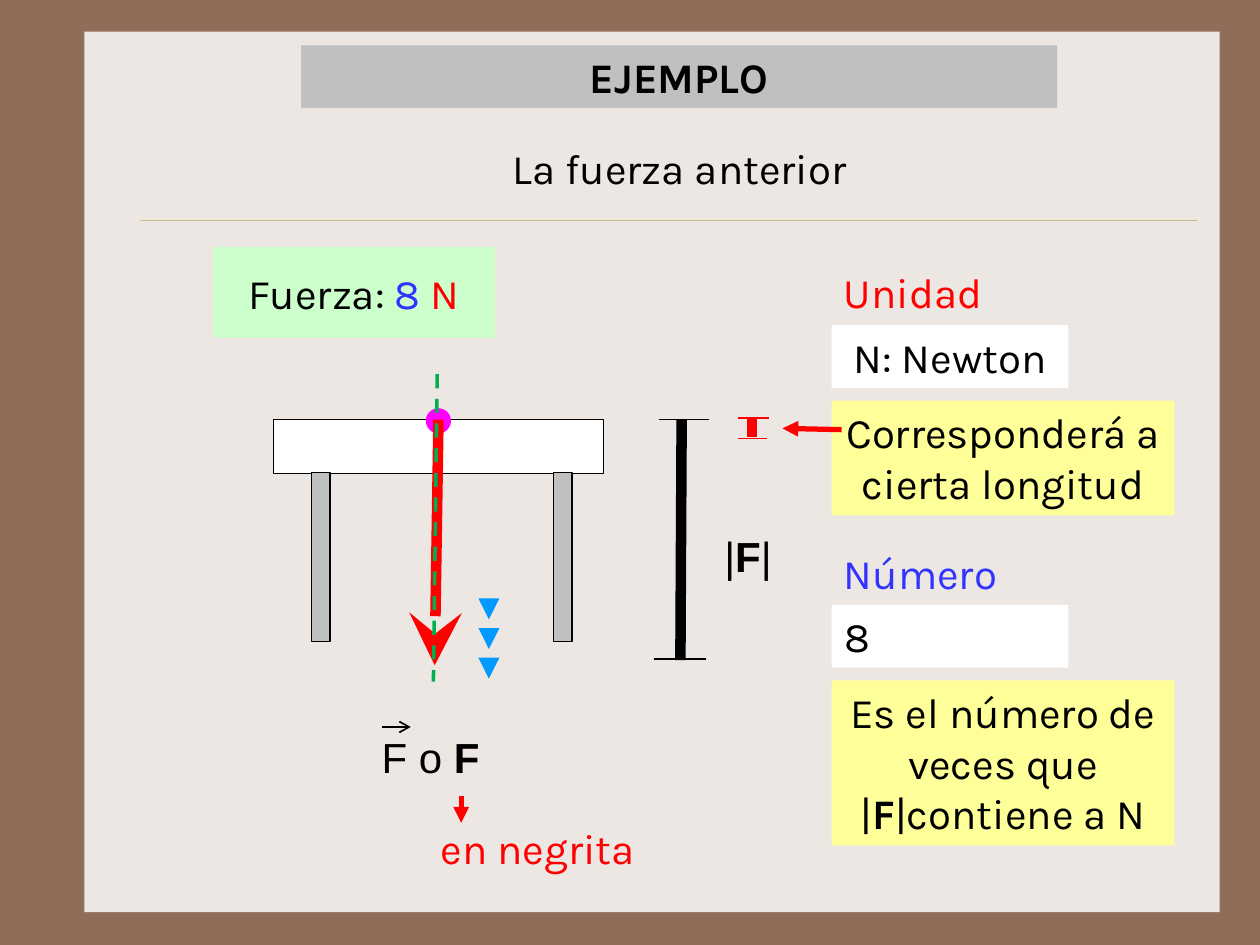
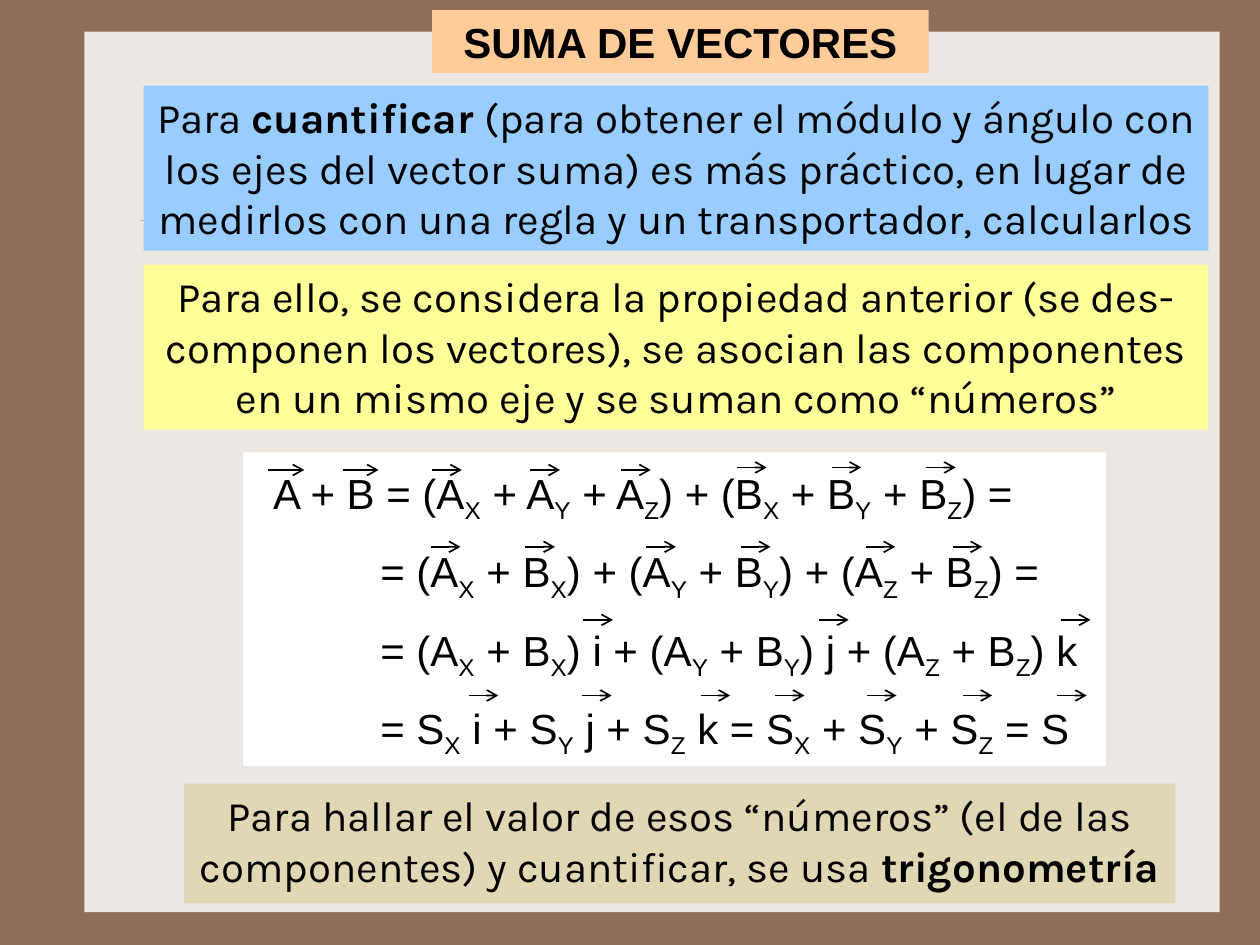
import pptx
import pptx.util
import pptx.dml.color
import pptx.enum.dml
import pptx.enum.shapes
import pptx.enum.text
import pptx.oxml.ns
from lxml import etree

RGB = pptx.dml.color.RGBColor
BROWN, CREAM, RULE = RGB(0x90, 0x6D, 0x58), RGB(0xED, 0xE7, 0xE3), RGB(0xCB, 0xBD, 0x83)
BLACK, WHITE, GREY = RGB(0, 0, 0), RGB(255, 255, 255), RGB(0xC0, 0xC0, 0xC0)
RED, BLUE, GREEN = RGB(255, 0, 0), RGB(0x33, 0x33, 0xFF), RGB(0, 0xB0, 0x50)
YELLOW, MINT, MAGENTA = RGB(255, 255, 0x99), RGB(0xCC, 0xFF, 0xCC), RGB(255, 0, 255)
SKY, PALE_BLUE = RGB(0, 0x99, 0xFF), RGB(0x99, 0xCC, 0xFF)
PEACH, SAND = RGB(255, 0xCC, 0x99), RGB(0xE0, 0xD7, 0xB5)

COLUMNS, ROWS = 100, 75
WIDTH, HEIGHT = pptx.util.Inches(10), pptx.util.Inches(7.5)
BODY, MATH = "Karla", "Arial"
CENTER, LEFT = pptx.enum.text.PP_ALIGN.CENTER, pptx.enum.text.PP_ALIGN.LEFT
RECTANGLE = pptx.enum.shapes.MSO_SHAPE.RECTANGLE
OVAL = pptx.enum.shapes.MSO_SHAPE.OVAL

EXAMPLE_BOXES = [
    ((23.9, 3.6, 60, 5), GREY, ["*EJEMPLO*"], {}),
    ((38.4, 10.8, 31.1, 5), None, ["La fuerza anterior"], {}),
    ((66, 20.7, 18, 5), None, ["Unidad"], {"align": LEFT, "color": RED}),
    ((66, 25.8, 18.8, 5), WHITE, ["N: Newton"], {}),
    ((66, 31.8, 27.2, 9.1), YELLOW, ["Corresponderá a cierta longitud"], {}),
    ((66, 43, 18, 5), None, ["Número"], {"align": LEFT, "color": BLUE}),
    ((66, 48, 18.8, 5), WHITE, ["8"], {"align": LEFT}),
    ((66, 54, 27.2, 13.1), YELLOW,
     ["Es el número de veces que", "|*F*|contiene a N"], {}),
    ((16.9, 19.6, 22.4, 7.2), MINT,
     [[("Fuerza: ", BLACK), ("8 ", BLUE), ("N", RED)]], {"inset": 0.16}),
    ((29.3, 57.6, 14, 5), None, ["F o *F*"], {"align": LEFT, "face": MATH}),
    ((34, 64.8, 20, 5), None, ["en negrita"], {"align": LEFT, "color": RED}),
    ((56.5, 41.6, 9, 5), None, ["|*F*|"], {"align": LEFT, "face": MATH}),
]
TABLE_TOP = (21.7, 33.3, 26.2, 4.3)
LEG_LEFTS, LEG_TOP, LEG_SIZE = (24.7, 43.9), 37.5, (1.5, 13.4)
FORCE_POINT = (33.8, 32.4, 2, 2)
FORCE_ARROW = ((34.7, 33.3, 34.5, 52.8), RED, 6, "stealth")
DIRECTION_LINE = ((34.7, 29.7, 34.4, 54.1), GREEN, 2)
EXAMPLE_LINES = [
    ((59.7, 34.7, 59.7, 33.2), RED, 6, None),
    ((58.6, 33.2, 61, 33.2), RED, 1, None),
    ((58.6, 34.8, 60.9, 34.8), RED, 1, None),
    ((66.8, 34.1, 62.1, 34), RED, 3, "triangle"),
    ((54, 52.4, 54.1, 33.3), BLACK, 6, None),
    ((56.3, 33.3, 52.3, 33.3), BLACK, 1, None),
    ((56, 52.3, 51.9, 52.3), BLACK, 1, None),
    ((30.3, 57.7, 32.6, 57.7), BLACK, 1, "arrow"),
    ((36.6, 63.2, 36.6, 65.3), RED, 3, "triangle"),
]
SENSE_LEFT, SENSE_TOP, SENSE_STEP, SENSE_LENGTH, SENSE_COUNT = 38.8, 47.6, 2.36, 1.55, 3

SUM_BOXES = [
    ((34.3, 0.8, 39.4, 5), PEACH, ["*SUMA DE VECTORES*"], {"face": MATH}),
    ((11.4, 6.8, 84.5, 13.1), PALE_BLUE,
     ["Para *cuantificar *(para obtener el módulo y ángulo con los ejes del vector suma) "
      "es más práctico, en lugar de medirlos con una regla y un transportador, calcularlos"], {}),
    ((11.4, 21, 84.5, 13.1), YELLOW,
     ["Para ello, se considera la propiedad anterior (se des-componen los vectores), "
      "se asocian las componentes en un mismo eje y se suman como “números”"], {}),
    ((14.6, 62.2, 78.7, 9.5), SAND,
     ["Para hallar el valor de esos “números” (el de las componentes) y cuantificar, "
      "se usa *trigonometría*"], {}),
    ((19.3, 35.9, 68.5, 24.9), WHITE, [], {}),
    ((18.2, 36.6, 70.4, 23.1), None,
     ["A + B = (A_X + A_Y + A_Z) + (B_X + B_Y + B_Z) =",
      "= (A_X + B_X) + (A_Y + B_Y) + (A_Z + B_Z) =",
      "= (A_X + B_X) i + (A_Y + B_Y) j + (A_Z + B_Z) k",
      "= S_X i + S_Y j + S_Z k = S_X + S_Y + S_Z = S"],
     {"align": LEFT, "face": MATH, "indents": (2.5, 11, 11, 11), "gap": 12}),
]
VECTOR_MARKS = [
    (37.3, 2.85, (21.3, 27.2)),
    (37.3, 2.35, (34.3, 42.1, 49.3)),
    (37.1, 2.35, (58.5, 66, 73.5)),
    (43.4, 2.35, (34.2, 41.7, 51.3, 58.8, 68.7, 75.6)),
    (49.2, 2.35, (46.3, 65, 84.2)),
    (55.2, 2.35, (37.2, 46.2, 55.6, 61.5, 68.8, 76.4, 83.9)),
]


def across(columns):
    return round(WIDTH * columns / COLUMNS)


def down(rows):
    return round(HEIGHT * rows / ROWS)


def draw_shape(page, place, fill, outline=None, kind=RECTANGLE):
    left, top, width, height = place
    box = page.shapes.add_shape(kind, across(left), down(top), across(width), down(height))
    box.shadow.inherit = False
    box.fill.solid()
    box.fill.fore_color.rgb = fill
    if outline is None:
        box.line.fill.background()
    else:
        box.line.color.rgb = outline
        box.line.width = pptx.util.Pt(0.75)
    return box


def draw_line(page, ends, color, weight, head=None, head_size="med", dashed=False):
    x1, y1, x2, y2 = ends
    line = page.shapes.add_connector(pptx.enum.shapes.MSO_CONNECTOR.STRAIGHT,
                                     across(x1), down(y1), across(x2), down(y2))
    line.line.color.rgb = color
    line.line.width = pptx.util.Pt(weight)
    if dashed:
        line.line.dash_style = pptx.enum.dml.MSO_LINE.DASH
    if head:
        outline = line.line._get_or_add_ln()
        etree.SubElement(outline, pptx.oxml.ns.qn("a:tailEnd"),
                         type=head, w=head_size, len=head_size)
    etree.SubElement(line._element.spPr, pptx.oxml.ns.qn("a:effectLst"))
    return line


def add_span(para, text, bold=False, lowered=False):
    if not text:
        return None
    span = para.add_run()
    span.text = text
    if bold:
        span.font.bold = True
    if lowered:
        span.font._element.set("baseline", "-25000")
    return span


def write_marked(para, text):
    for number, part in enumerate(text.split("*")):
        plain, *lowered = part.split("_")
        add_span(para, plain, bold=number % 2 == 1)
        for piece in lowered:
            add_span(para, piece[0], lowered=True)
            add_span(para, piece[1:])


def write_text(box, paragraphs, align=CENTER, face=BODY, color=BLACK,
               inset=None, indents=None, gap=0):
    frame = box.text_frame
    frame.word_wrap = True
    frame.vertical_anchor = pptx.enum.text.MSO_ANCHOR.TOP
    if inset:
        frame.margin_left = frame.margin_right = pptx.util.Inches(inset)
        frame.margin_top = frame.margin_bottom = pptx.util.Inches(inset)
    for number, content in enumerate(paragraphs):
        para = frame.add_paragraph() if number else frame.paragraphs[0]
        para.alignment = align
        if indents:
            para._p.get_or_add_pPr().set("marL", str(across(indents[number])))
        if number and gap:
            para.space_before = pptx.util.Pt(gap)
        para.font.name = face
        para.font.size = pptx.util.Pt(24)
        if isinstance(content, str):
            para.font.color.rgb = color
            write_marked(para, content)
        else:
            for text, shade in content:
                add_span(para, text).font.color.rgb = shade


def draw_boxes(page, boxes):
    for place, fill, paragraphs, style in boxes:
        if fill is None:
            left, top, width, height = place
            box = page.shapes.add_textbox(across(left), down(top), across(width), down(height))
        else:
            box = draw_shape(page, place, fill)
        if paragraphs:
            write_text(box, paragraphs, **style)


def add_page(deck):
    page = deck.slides.add_slide(deck.slide_layouts[6])
    page.background.fill.solid()
    page.background.fill.fore_color.rgb = BROWN
    draw_shape(page, (6.7, 2.5, 90.1, 69.9), CREAM)
    draw_line(page, (11.1, 17.5, 95, 17.5), RULE, 0.25)
    return page


def build_example(deck):
    page = add_page(deck)
    draw_boxes(page, EXAMPLE_BOXES)
    table_top = draw_shape(page, TABLE_TOP, WHITE, BLACK)
    for left in LEG_LEFTS:
        draw_shape(page, (left, LEG_TOP, *LEG_SIZE), GREY, BLACK)
    draw_shape(page, FORCE_POINT, MAGENTA, kind=OVAL)
    draw_line(page, *FORCE_ARROW, head_size="lg").begin_connect(table_top, 0)
    draw_line(page, *DIRECTION_LINE, dashed=True)
    for number in range(SENSE_COUNT):
        top = SENSE_TOP + number * SENSE_STEP
        draw_line(page, (SENSE_LEFT, top, SENSE_LEFT, top + SENSE_LENGTH), SKY, 4, "triangle")
    for line in EXAMPLE_LINES:
        draw_line(page, *line)


def build_sum(deck):
    page = add_page(deck)
    draw_boxes(page, SUM_BOXES)
    for row, length, lefts in VECTOR_MARKS:
        for left in lefts:
            draw_line(page, (left, row, left + length, row), BLACK, 1, "arrow")


def main():
    deck = pptx.Presentation()
    deck.slide_width, deck.slide_height = WIDTH, HEIGHT
    build_example(deck)
    build_sum(deck)
    deck.save("out.pptx")


if __name__ == "__main__":
    main()
